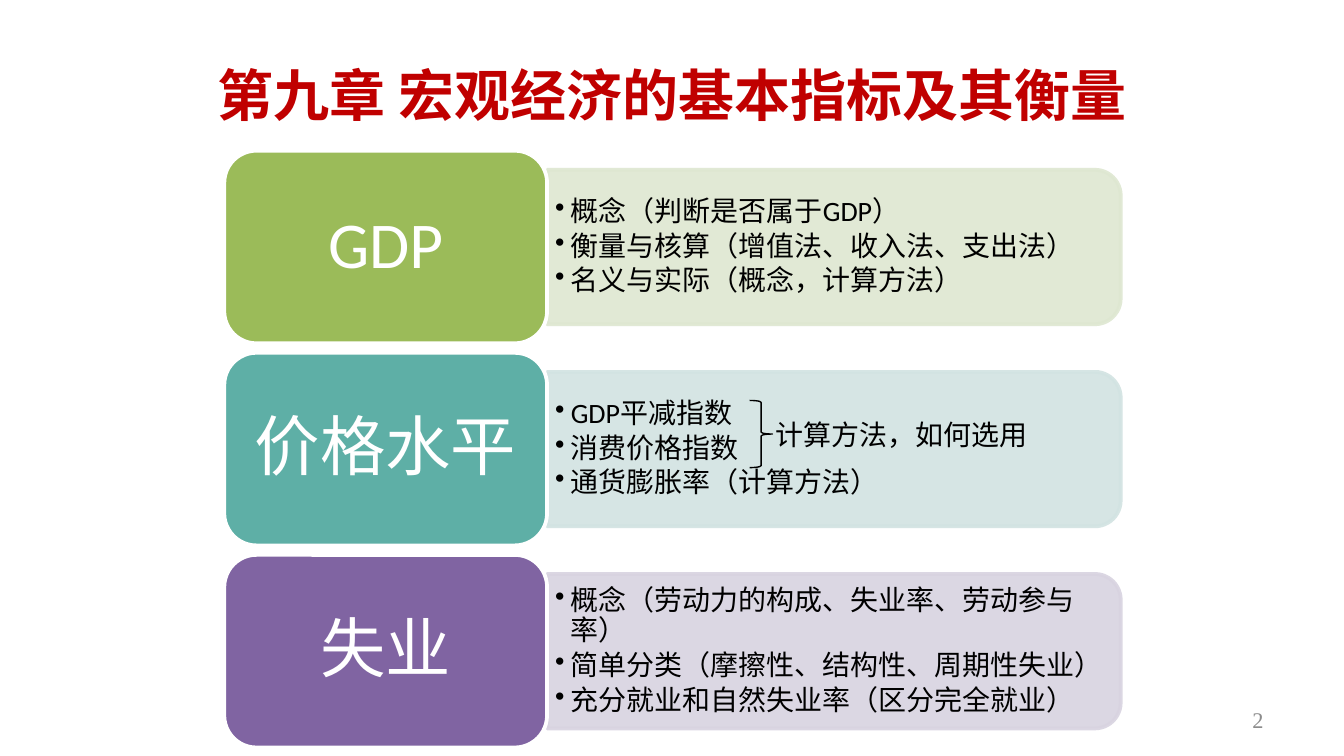
from dataclasses import dataclass

from pptx import Presentation
from pptx.dml.color import RGBColor as Rgb
from pptx.enum.shapes import MSO_SHAPE as Preset
from pptx.enum.text import MSO_ANCHOR as Anchor, MSO_AUTO_SIZE as AutoSize, PP_ALIGN as Align
from pptx.oxml.ns import qn
from pptx.oxml.xmlchemy import OxmlElement as new_element
from pptx.util import Cm, Pt


@dataclass(frozen=True)
class Theme:
    heading_font: str = "Times New Roman"
    body_font: str = "Calibri"
    title: str = "C00000"
    ink: str = "000000"
    light: str = "FFFFFF"
    muted: str = "8C8C8C"
    title_size: int = 30
    label_size: int = 35
    body_size: int = 15
    number_size: int = 12


class ChapterSlide:
    def __init__(self, deck, theme):
        self.theme = theme
        self.page = deck.slides.add_slide(deck.slide_layouts[5])

    def style(self, para, size, color, font, bold=False):
        para.font.size, para.font.name, para.font.bold = Pt(size), font, bold
        para.font.color.rgb = Rgb.from_string(color)

    def title(self, text, left, top, width, height):
        box = self.page.shapes.title
        box.left, box.top, box.width, box.height = Cm(left), Cm(top), Cm(width), Cm(height)
        frame = box.text_frame
        frame.text, frame.vertical_anchor, frame.auto_size = text, Anchor.MIDDLE, AutoSize.NONE
        para = frame.paragraphs[0]
        para.alignment = Align.CENTER
        self.style(para, self.theme.title_size, self.theme.title, self.theme.heading_font, True)

    def shape(self, preset, left, top, width, height, line, weight, fill=None):
        shape = self.page.shapes.add_shape(preset, Cm(left), Cm(top), Cm(width), Cm(height))
        shape.shadow.inherit = False
        if fill:
            shape.fill.solid()
            shape.fill.fore_color.rgb = Rgb.from_string(fill)
        else:
            shape.fill.background()
        shape.line.color.rgb = Rgb.from_string(line)
        shape.line.width = Pt(weight)
        return shape

    def label(self, text, left, top, width, height, fill):
        card = self.shape(Preset.ROUNDED_RECTANGLE, left, top, width, height, self.theme.light, 2, fill)
        frame = card.text_frame
        frame.text, frame.word_wrap, frame.vertical_anchor = text, True, Anchor.MIDDLE
        frame.margin_left = frame.margin_right = Cm(0.38)
        frame.margin_top = frame.margin_bottom = Cm(0.18)
        para = frame.paragraphs[0]
        para.alignment, para.line_spacing = Align.CENTER, 0.9
        self.style(para, self.theme.label_size, self.theme.light, self.theme.body_font)

    def panel(self, left, top, width, height, tint):
        # Turned a quarter, so the rounded end faces right
        shift = (width - height) / 2
        panel = self.shape(Preset.ROUND_2_SAME_RECTANGLE, left + shift, top - shift,
                           height, width, tint, 2, tint)
        panel.rotation = 90
        for color in panel._element.spPr.iter(qn("a:srgbClr")):
            alpha = new_element("a:alpha")
            alpha.set("val", "90000")
            color.append(alpha)

    def text(self, text, left, top, width, height, size, color, font, align=Align.LEFT, anchor=Anchor.TOP):
        box = self.page.shapes.add_textbox(Cm(left), Cm(top), Cm(width), Cm(height))
        frame = box.text_frame
        frame.text, frame.word_wrap, frame.vertical_anchor = text, True, anchor
        for para in frame.paragraphs:
            para.alignment = align
            self.style(para, size, color, font)
        return frame

    def bullets(self, points, left, top, width, height):
        frame = self.text("\n".join(points), left, top, width, height, self.theme.body_size,
                          self.theme.ink, self.theme.body_font, anchor=Anchor.MIDDLE)
        frame.margin_left = frame.margin_right = Cm(0.15)
        frame.margin_top = frame.margin_bottom = Cm(0.08)
        for para in frame.paragraphs:
            para.level, para.line_spacing, para.space_after = 1, 0.9, Pt(2.4)
            props = para._p.get_or_add_pPr()
            props.set("marL", str(Cm(0.3)))
            props.set("indent", str(-Cm(0.3)))
            bullet = new_element("a:buChar")
            bullet.set("char", "•")
            props.find(qn("a:defRPr")).addprevious(bullet)


TOPICS = [
    ("GDP", "9BBB59", "DEE7D1",
     ["概念（判断是否属于GDP）", "衡量与核算（增值法、收入法、支出法）", "名义与实际（概念，计算方法）"]),
    ("价格水平", "5EAFA6", "D2E3E2",
     ["GDP平减指数", "消费价格指数", "通货膨胀率（计算方法）"]),
    ("失业", "8064A2", "D8D3E0",
     ["概念（劳动力的构成、失业率、劳动参与率）", "简单分类（摩擦性、结构性、周期性失业）",
      "充分就业和自然失业率（区分完全就业）"]),
]
LABEL_LEFT, LABEL_WIDTH, LABEL_HEIGHT = 4.24, 6.1, 3.64
PANEL_LEFT, PANEL_WIDTH, PANEL_HEIGHT = LABEL_LEFT + LABEL_WIDTH, 10.84, 2.92
FIRST_TOP, PITCH = 2.85, 3.82

deck = Presentation()
deck.slide_width, deck.slide_height = Cm(25.4), Cm(14.29)
theme = Theme()
slide = ChapterSlide(deck, theme)

# Heading and page number
slide.title("第九章 宏观经济的基本指标及其衡量", 1.27, 0.58, 22.86, 2.39)
slide.text("2", 18.21, 13.23, 5.92, 0.76, theme.number_size, theme.muted,
           theme.heading_font, Align.RIGHT, Anchor.MIDDLE)

# One row per topic
for row, (name, fill, tint, points) in enumerate(TOPICS):
    top = FIRST_TOP + row * PITCH
    panel_top = top + (LABEL_HEIGHT - PANEL_HEIGHT) / 2
    slide.panel(PANEL_LEFT, panel_top, PANEL_WIDTH, PANEL_HEIGHT, tint)
    slide.bullets(points, PANEL_LEFT, panel_top + 0.15, 10.69, PANEL_HEIGHT - 0.3)
    slide.label(name, LABEL_LEFT, top, LABEL_WIDTH, LABEL_HEIGHT, fill)

# Remark on the two price indices
slide.text("计算方法，如何选用", 14.4, 7.77, 6.35, 0.89, theme.body_size, theme.ink, theme.body_font)
slide.shape(Preset.RIGHT_BRACE, 14.17, 7.57, 0.43, 1.27, theme.ink, 0.75)

deck.save("out.pptx")
